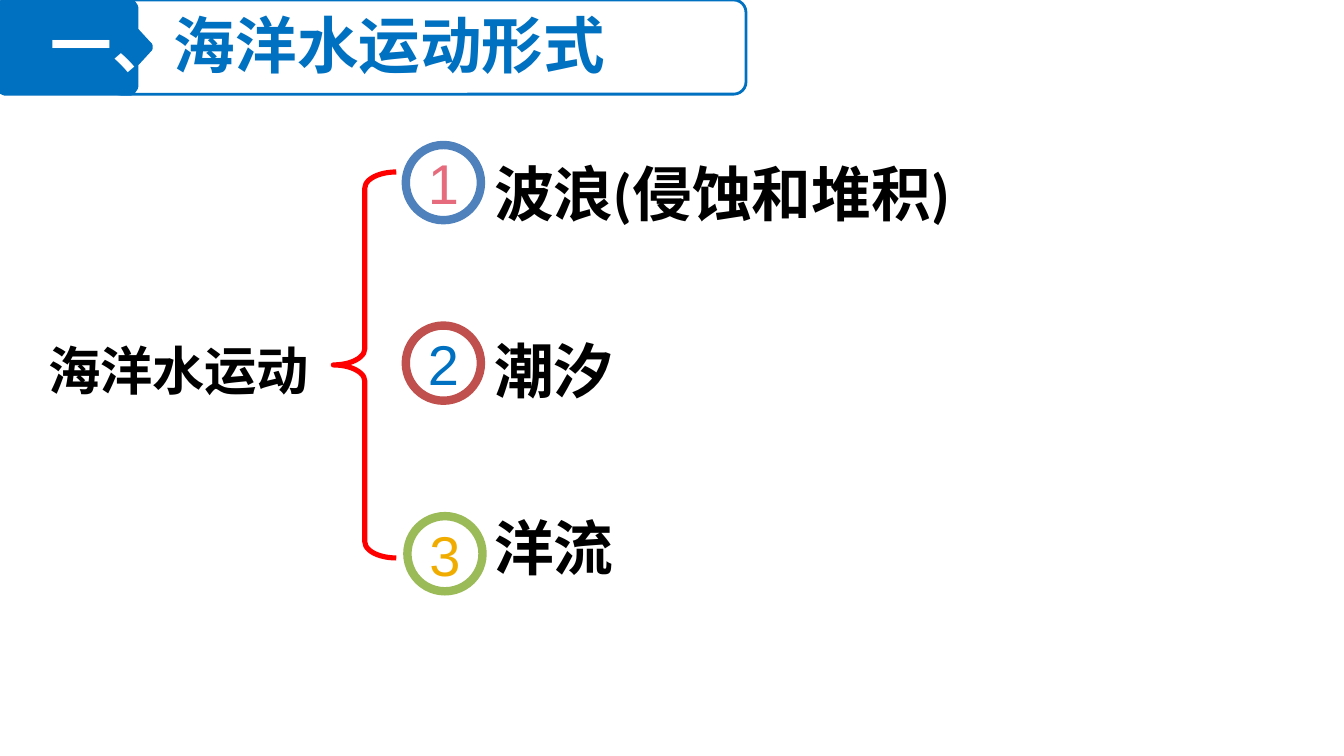
from pptx import Presentation
from pptx import util as u
from pptx.dml.color import RGBColor
from pptx.enum import shapes, text

BLUE, WHITE, BLACK, RED = "0070C0", "FFFFFF", "000000", "FF0000"


def rgb(value):
    return RGBColor.from_string(value)


def bezier(a, b, c, d, steps=8):
    """Points of a cubic curve, both ends included."""
    points = []
    for i in range(steps + 1):
        t = i / steps
        weights = ((1 - t) ** 3, 3 * t * (1 - t) ** 2, 3 * t * t * (1 - t), t ** 3)
        points.append(tuple(sum(w * p[k] for w, p in zip(weights, (a, b, c, d)))
                            for k in (0, 1)))
    return points


class Deck:
    heading = {"name": "Noto Sans CJK SC", "size": u.Pt(33), "bold": True}
    body = {"name": "Calibri", "bold": True}
    number = {"name": "Arial", "size": u.Pt(30)}

    def __init__(self, slide):
        self.s = slide

    def run(self, p, words, color, style):
        r = p.add_run()
        r.text = words
        for key, value in style.items():
            setattr(r.font, key, value)
        r.font.color.rgb = rgb(color)

    def paint(self, sp, line, width, fill=None):
        sp.shadow.inherit = False
        if fill:
            sp.fill.solid()
            sp.fill.fore_color.rgb = rgb(fill)
        else:
            sp.fill.background()
        sp.line.color.rgb = rgb(line)
        sp.line.width = u.Pt(width)

    def shape(self, kind, box, line, width, fill=None, adjust=()):
        sp = self.s.shapes.add_shape(kind, *map(u.Cm, box))
        self.paint(sp, line, width, fill)
        for i, value in enumerate(adjust):
            sp.adjustments[i] = value
        return sp

    def outline(self, points, color, width):
        """Closed outline; points are hundredths of a centimetre."""
        builder = self.s.shapes.build_freeform(*points[0], scale=u.Cm(0.01))
        builder.add_line_segments(points[1:], close=True)
        self.paint(builder.convert_to_shape(), color, width, color)

    def badge(self, box, digit, ring, color):
        sp = self.shape(shapes.MSO_SHAPE.OVAL, box, ring, 4.5, WHITE)
        tf = sp.text_frame
        for side in ("left", "top", "right", "bottom"):
            setattr(tf, f"margin_{side}", 0)
        tf.vertical_anchor = text.MSO_ANCHOR.MIDDLE
        p = tf.paragraphs[0]
        p.alignment = text.PP_ALIGN.CENTER
        self.run(p, digit, color, self.number)

    def text(self, box, lines, style, leading=None, gap=0, wrap=True):
        """Each line is a list of (words, color) runs."""
        tf = self.s.shapes.add_textbox(*map(u.Cm, box)).text_frame
        tf.word_wrap = wrap
        for i, runs in enumerate(lines):
            p = tf.add_paragraph() if i else tf.paragraphs[0]
            if leading:
                p.line_spacing = u.Pt(leading)
            if i:
                p.space_before = u.Pt(gap)
            for words, color in runs:
                self.run(p, words, color, style)


def main():
    prs = Presentation()
    prs.slide_width, prs.slide_height = u.Cm(25.4), u.Cm(14.28)
    deck = Deck(prs.slides.add_slide(prs.slide_layouts[6]))

    # Topic and its three forms
    deck.text((0.66, 6.07, 5.54, 1.52), [[("海洋水运动", BLACK)]],
              {**deck.body, "size": u.Pt(28)}, leading=39, wrap=False)
    forms = ("波浪(侵蚀和堆积)", "潮汐", "洋流")
    deck.text((9.09, 2.5, 11.2, 8.6), [[(form, BLACK)] for form in forms],
              {**deck.body, "size": u.Pt(32)}, leading=48, gap=46.8)
    deck.shape(shapes.MSO_SHAPE.LEFT_BRACE, (6.3, 3.25, 1.19, 7.29), RED, 2.75,
               adjust=(0.257, 0.5))

    # Numbered rings
    rings = ((7.67, 2.74, "4F81BD", "E66C7D"),
             (7.67, 6.15, "C0504D", BLUE),
             (7.7, 9.75, "9BBB59", "F0AD00"))
    for i, (x, y, ring, color) in enumerate(rings, 1):
        deck.badge((x, y, 1.42, 1.42), str(i), ring, color)

    # Heading frame and pointed tab, the tab's lower half mirroring its upper
    deck.shape(shapes.MSO_SHAPE.ROUNDED_RECTANGLE, (2.06, 0, 12.04, 1.78),
               BLUE, 1.5, WHITE, (0.131,))
    upper = [*bezier((-5, 19), (-5, 8), (2, 0), (13, 0)),
             *bezier((244, 0), (252, 0), (259, 8), (259, 19)),
             (259, 56),
             *bezier((282, 81), (285, 84), (286, 87), (286, 89))]
    lower = [(x, 178 - y) for x, y in reversed(upper)]
    deck.outline(upper + lower, BLUE, 1.5)
    deck.text((0.71, 0, 14, 1.65), [[("一、", WHITE), ("海洋水运动形式", BLUE)]],
              deck.heading)

    prs.save("out.pptx")


if __name__ == "__main__":
    main()
